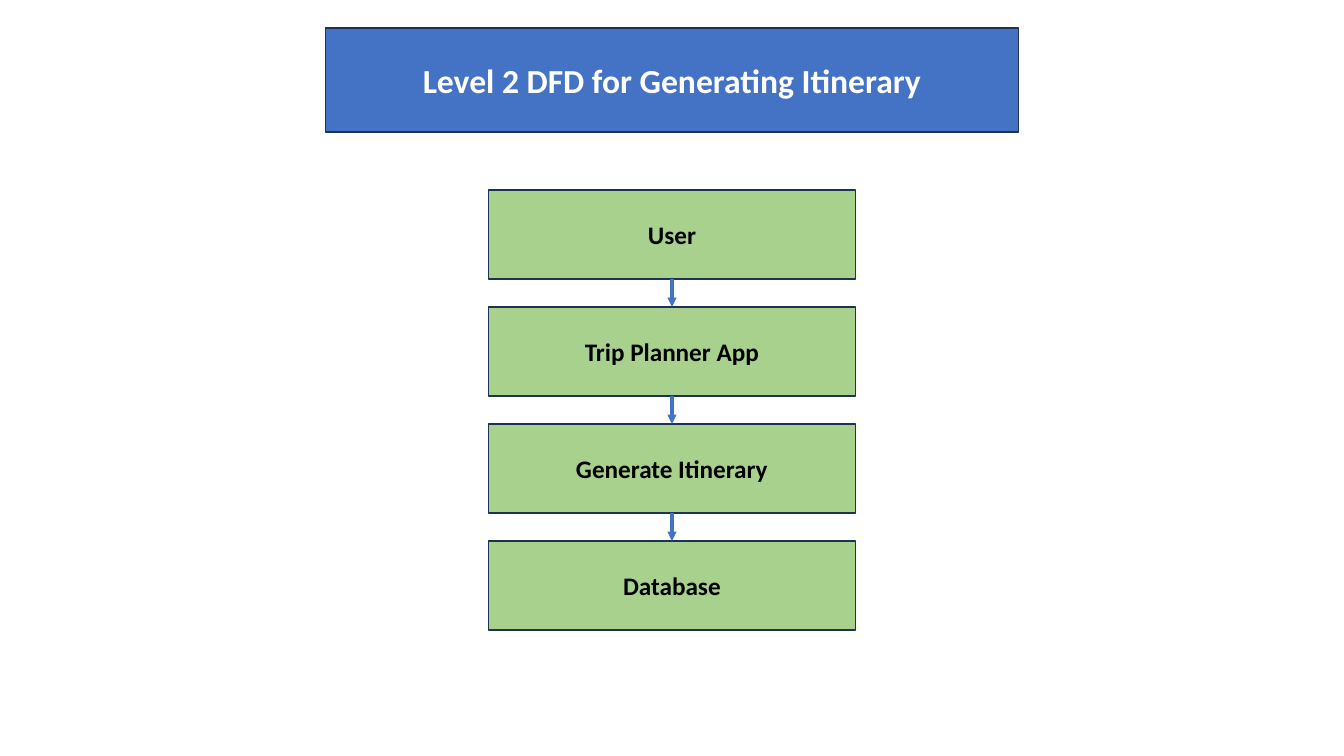
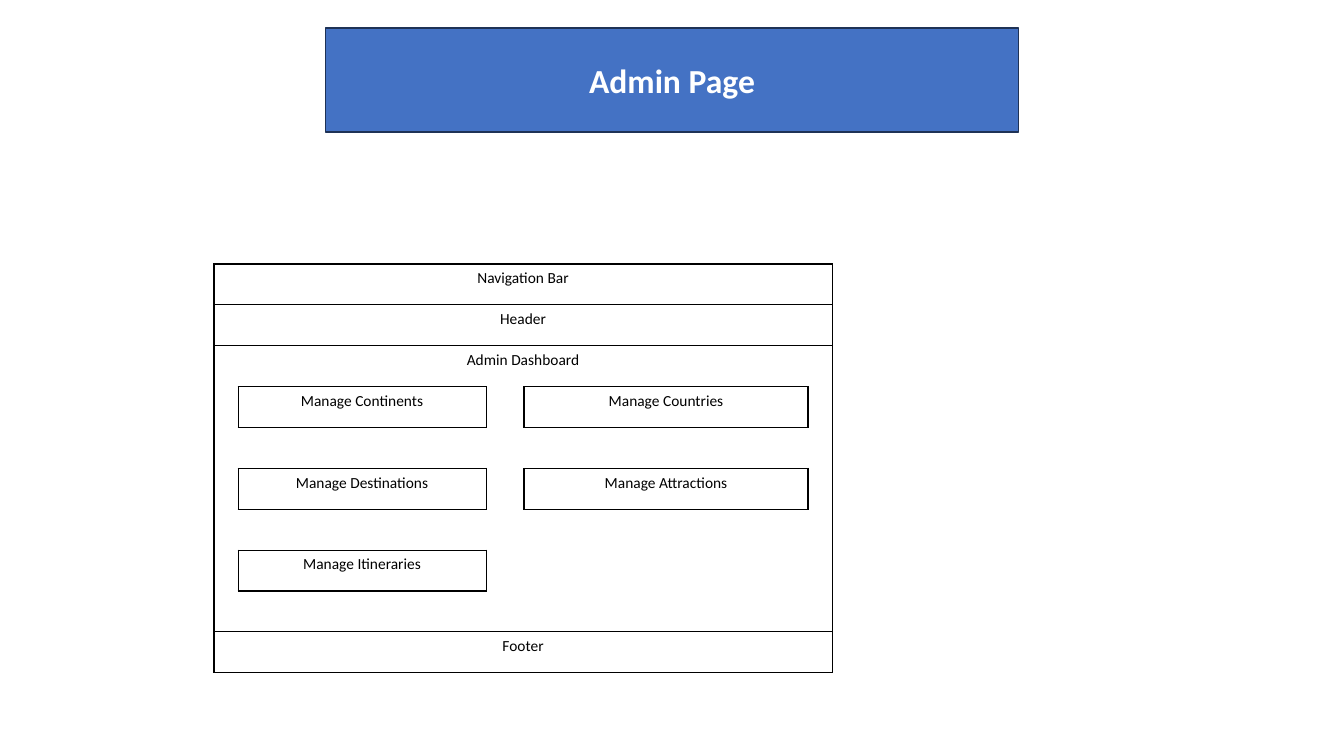
"""Build the itinerary data flow slide and the admin page wireframe slide."""
from lxml.etree import SubElement
from pptx import Presentation
from pptx.dml.color import RGBColor
from pptx.enum.shapes import MSO_CONNECTOR, MSO_SHAPE
from pptx.enum.text import MSO_ANCHOR, PP_ALIGN
from pptx.oxml import parse_xml
from pptx.oxml.ns import nsdecls, qn
from pptx.util import Pt

SLIDE_W, SLIDE_H = 1344, 756
EMU_PER_PX = 12192000 / SLIDE_W
FONT = "Calibri"
COLORS = {
    "blue": "4472C4",
    "green": "A9D18E",
    "navy": "1E3256",
    "white": "FFFFFF",
    "black": "000000",
}

FLOW_TITLE = "Level 2 DFD for Generating Itinerary"
FLOW_STEPS = ["User", "Trip Planner App", "Generate Itinerary", "Database"]
STEP_TOP, STEP_W, STEP_H, STEP_PITCH = 190, 367, 89, 117

ADMIN_TITLE = "Admin Page"
PAGE_LEFT, PAGE_TOP, PAGE_H = 214, 264, 409
PAGE_COLS = [24, 248, 38, 284, 24]
PAGE_ROWS = 10
BANDS = {0: "Navigation Bar", 1: "Header", 2: "Admin Dashboard", 9: "Footer"}
BUTTONS = {
    (3, 1): "Manage Continents",
    (3, 3): "Manage Countries",
    (5, 1): "Manage Destinations",
    (5, 3): "Manage Attractions",
    (7, 1): "Manage Itineraries",
}
DASHBOARD_ROWS = (2, 9)


def px(length):
    return round(length * EMU_PER_PX)


def color(name):
    return RGBColor.from_string(COLORS[name])


def write(frame, text, size, ink, bold=False):
    paragraph = frame.paragraphs[0]
    paragraph.alignment = PP_ALIGN.CENTER
    run = paragraph.add_run()
    run.text = text
    run.font.name = FONT
    run.font.size = Pt(size)
    run.font.bold = bold
    run.font.color.rgb = color(ink)


def add_centred_box(slide, text, top, width, height, fill, ink, size):
    left = (SLIDE_W - width) / 2
    box = slide.shapes.add_shape(
        MSO_SHAPE.RECTANGLE, px(left), px(top), px(width), px(height)
    )
    box.shadow.inherit = False
    box.fill.solid()
    box.fill.fore_color.rgb = color(fill)
    box.line.color.rgb = color("navy")
    box.line.width = Pt(1)
    box.text_frame.word_wrap = True
    box.text_frame.vertical_anchor = MSO_ANCHOR.MIDDLE
    write(box.text_frame, text, size, ink, bold=True)
    return box


def add_titled_slide(deck, title):
    slide = deck.slides.add_slide(deck.slide_layouts[6])
    add_centred_box(slide, title, 28, 693, 104, "blue", "white", 24)
    return slide


def add_arrow(slide, source, target):
    arrow = slide.shapes.add_connector(MSO_CONNECTOR.STRAIGHT, 0, 0, 0, 0)
    arrow.begin_connect(source, 2)
    arrow.end_connect(target, 0)
    arrow.line.color.rgb = color("blue")
    arrow.line.width = Pt(2.25)
    SubElement(arrow.line._get_or_add_ln(), qn("a:tailEnd"), type="triangle")
    SubElement(arrow._element.spPr, qn("a:effectLst"))


def build_flow(deck):
    slide = add_titled_slide(deck, FLOW_TITLE)
    steps = [
        add_centred_box(slide, text, STEP_TOP + i * STEP_PITCH, STEP_W, STEP_H,
                        "green", "black", 18)
        for i, text in enumerate(FLOW_STEPS)
    ]
    for source, target in zip(steps, steps[1:]):
        add_arrow(slide, source, target)


def outline(top, left, bottom, right):
    across = {("h", row, col) for row in (top, bottom) for col in range(left, right)}
    down = {("v", row, col) for row in range(top, bottom) for col in (left, right)}
    return across | down


def page_edges():
    width = len(PAGE_COLS)
    edges = outline(DASHBOARD_ROWS[0], 0, DASHBOARD_ROWS[1], width)
    for row in BANDS:
        if row != DASHBOARD_ROWS[0]:
            edges |= outline(row, 0, row + 1, width)
    for row, col in BUTTONS:
        edges |= outline(row, col, row + 1, col + 1)
    return edges


def border(side, drawn):
    paint = (
        f'<a:solidFill><a:srgbClr val="{COLORS["black"]}"/></a:solidFill>'
        if drawn else "<a:noFill/>"
    )
    return parse_xml(f'<a:ln{side} {nsdecls("a")} w="{Pt(1)}">{paint}</a:ln{side}>')


def style_cell(cell, row, col, edges):
    span = cell.span_width if cell.is_merge_origin else 1
    sides = {
        "L": ("v", row, col),
        "R": ("v", row, col + span),
        "T": ("h", row, col),
        "B": ("h", row + 1, col),
    }
    cell.fill.background()
    properties = cell._tc.get_or_add_tcPr()
    for position, (side, edge) in enumerate(sides.items()):
        properties.insert(position, border(side, edge in edges))


def build_admin(deck):
    slide = add_titled_slide(deck, ADMIN_TITLE)
    page = slide.shapes.add_table(
        PAGE_ROWS, len(PAGE_COLS), px(PAGE_LEFT), px(PAGE_TOP),
        px(sum(PAGE_COLS)), px(PAGE_H)
    ).table
    page.first_row = page.horz_banding = False
    for column, width in zip(page.columns, PAGE_COLS):
        column.width = px(width)
    for row in page.rows:
        row.height = px(PAGE_H / PAGE_ROWS)
    for row in BANDS:
        page.cell(row, 0).merge(page.cell(row, len(PAGE_COLS) - 1))

    labels = {(row, 0): text for row, text in BANDS.items()} | BUTTONS
    edges = page_edges()
    for row in range(PAGE_ROWS):
        for col in range(len(PAGE_COLS)):
            cell = page.cell(row, col)
            style_cell(cell, row, col, edges)
            if (row, col) in labels:
                write(cell.text_frame, labels[row, col], 11, "black")
            else:
                paragraph = cell.text_frame.paragraphs[0]
                SubElement(paragraph._p, qn("a:endParaRPr"), sz="1100")


def main():
    deck = Presentation()
    deck.slide_width, deck.slide_height = px(SLIDE_W), px(SLIDE_H)
    build_flow(deck)
    build_admin(deck)
    deck.save("out.pptx")


if __name__ == "__main__":
    main()
